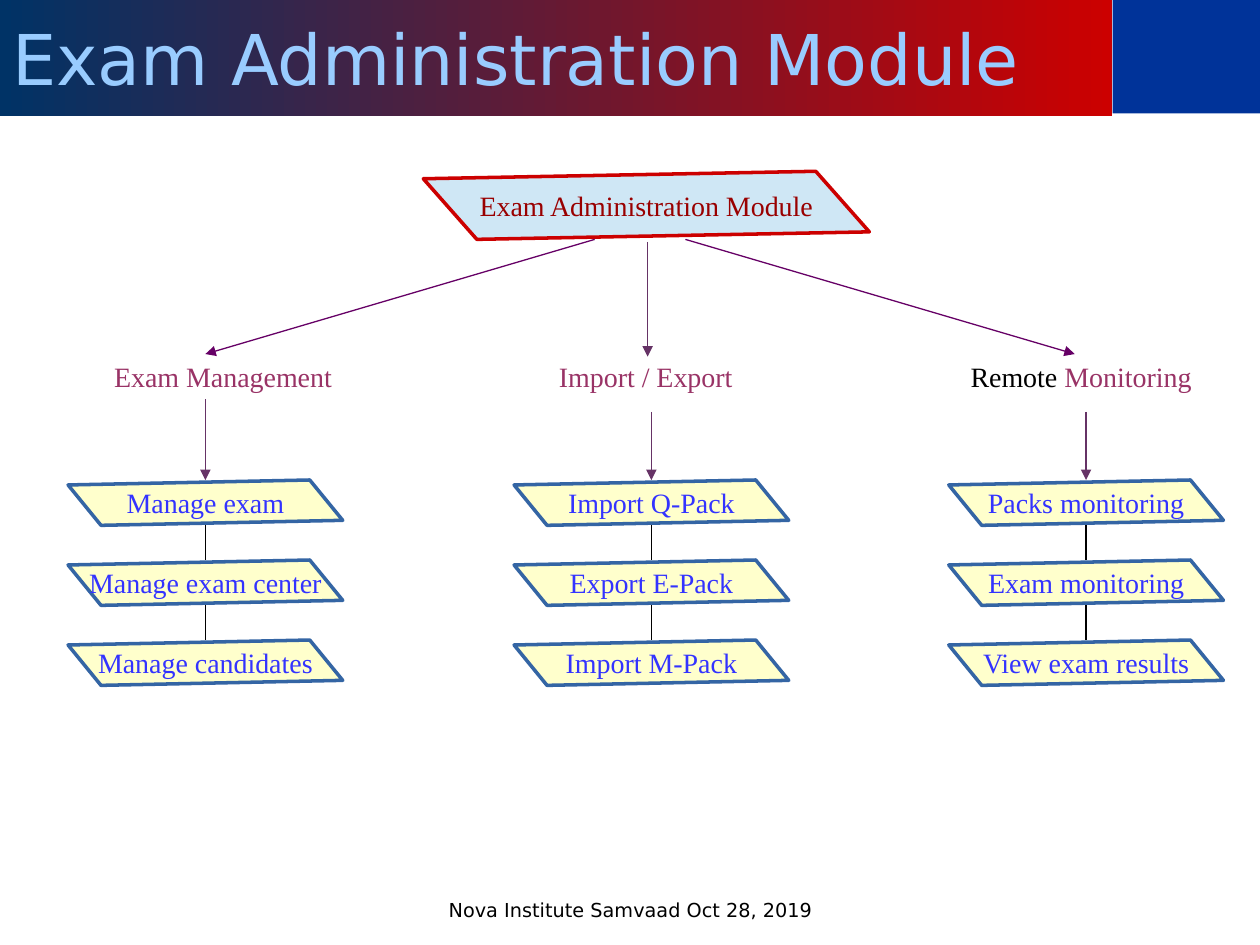
import pptx
import pptx.util
import pptx.dml.color
import pptx.enum.shapes
import pptx.enum.text
import pptx.oxml.ns
import lxml.etree

RGB = pptx.dml.color.RGBColor
NAVY = RGB(0x00, 0x33, 0x66)
BLUE = RGB(0x00, 0x33, 0x99)
RED = RGB(0xCC, 0x00, 0x00)
SKY = RGB(0x99, 0xCC, 0xFF)
PALE = RGB(0xCF, 0xE7, 0xF5)
MAROON = RGB(0x99, 0x00, 0x00)
ROSE = RGB(0x99, 0x33, 0x66)
CREAM = RGB(0xFF, 0xFF, 0xCC)
STEEL = RGB(0x34, 0x65, 0xA4)
INK = RGB(0x33, 0x33, 0xFF)
PLUM = RGB(0x66, 0x00, 0x66)
GRAPE = RGB(0x66, 0x33, 0x66)
BLACK = RGB(0x00, 0x00, 0x00)
WHITE = RGB(0xFF, 0xFF, 0xFF)

SERIF = "Times New Roman"
SANS = "DejaVu Sans"
COLS, ROWS = 100, 75
UNIT = pptx.util.Inches(10) // COLS
SLANT = [(0, 0.11), (0.88, 0), (1, 0.89), (0.12, 1)]
SQUARE = [(0, 0), (1, 0), (1, 1), (0, 1)]
MIDDLE = pptx.enum.text.MSO_ANCHOR.MIDDLE
CENTER = pptx.enum.text.PP_ALIGN.CENTER
LEFT = pptx.enum.text.PP_ALIGN.LEFT

TREE = [
    (16.3, 17.7, 31.7, [("Exam Management", ROSE)],
     ["Manage exam", "Manage exam center", "Manage candidates"]),
    (51.7, 51.25, 32.7, [("Import / Export", ROSE)],
     ["Import Q-Pack", "Export E-Pack", "Import M-Pack"]),
    (86.2, 85.8, 32.7, [("Remote ", BLACK), ("Monitoring", ROSE)],
     ["Packs monitoring", "Exam monitoring", "View exam results"]),
]
FANS = [(47.2, 19, 16.3, 28.1, PLUM),
        (51.4, 19.2, 51.4, 28.3, GRAPE),
        (54.4, 19, 85.3, 28.1, PLUM)]


def grid(*nums):
    return [round(num * UNIT) for num in nums]


def write(shape, runs, size, font, align=CENTER):
    para = shape.text_frame.paragraphs[0]
    para.alignment = align
    for text, color in runs:
        run = para.add_run()
        run.text = text
        run.font.size = pptx.util.Pt(size)
        run.font.name = font
        run.font.color.rgb = color


def node(slide, box, form, fill, edge, runs):
    left, top, wide, high = box
    spots = [grid(left + x * wide, top + y * high) for x, y in form]
    pen = slide.shapes.build_freeform(*spots[0])
    pen.add_line_segments(spots[1:], close=True)
    shape = pen.convert_to_shape()
    shape.shadow.inherit = False
    shape.fill.solid()
    shape.fill.fore_color.rgb = fill
    if edge is None:
        shape.line.fill.background()
    else:
        shape.line.color.rgb = edge
        shape.line.width = pptx.util.Pt(2)
    frame = shape.text_frame
    frame.margin_left = frame.margin_right = 0
    frame.margin_top = frame.margin_bottom = 0
    frame.word_wrap = False
    frame.vertical_anchor = MIDDLE
    write(shape, runs, 16, SERIF)


def link(slide, ends, color, arrow=False):
    kind = pptx.enum.shapes.MSO_CONNECTOR.STRAIGHT
    line = slide.shapes.add_connector(kind, *grid(*ends))
    line.line.color.rgb = color
    line.line.width = pptx.util.Pt(0.75)
    qn = pptx.oxml.ns.qn
    if arrow:
        tail = lxml.etree.SubElement(line.line._get_or_add_ln(), qn("a:tailEnd"))
        tail.set("type", "triangle")
    lxml.etree.SubElement(line._element.spPr, qn("a:effectLst"))


def block(slide, box):
    kind = pptx.enum.shapes.MSO_SHAPE.RECTANGLE
    shape = slide.shapes.add_shape(kind, *grid(*box))
    shape.shadow.inherit = False
    shape.line.fill.background()
    return shape


def header(slide, box):
    left, top, wide, high = box
    split = wide * 0.883
    side = block(slide, (left + split, top, wide - split, high - 0.2))
    side.fill.solid()
    side.fill.fore_color.rgb = BLUE
    band = block(slide, (left, top, split, high))
    band.fill.gradient()
    band.fill.gradient_angle = 0
    for stop, place, color in zip(band.fill.gradient_stops, (0, 1), (NAVY, RED)):
        stop.position = place
        stop.color.rgb = color
    band.text_frame.vertical_anchor = MIDDLE
    band.text_frame.word_wrap = True
    write(band, [("Exam Administration Module", SKY)], 40, SANS, LEFT)


def branch(slide, box, label, start, runs, items):
    left, top, wide, high = box
    mid = left + wide / 2
    tall, step = 3.6, (high - 3.6) / (len(items) - 1)
    node(slide, (label - 8.6, 27.2, 17.2, 5.4), SQUARE, WHITE, None, runs)
    for row, item in enumerate(items):
        y = top + row * step
        node(slide, (left, y, wide, tall), SLANT, CREAM, STEEL, [(item, INK)])
        if row:
            link(slide, (mid, y - step + tall, mid, y), BLACK)
    link(slide, (mid, start, mid, top), GRAPE, True)


def chart(slide, box):
    left, top, wide, high = box
    node(slide, (left + 33.6, top, 35.4, 5.4), SLANT, PALE, RED,
         [("Exam Administration Module", MAROON)])
    for mid, label, start, runs, items in TREE:
        part = (left + mid - 10.9, top + high - 16.3, 21.8, 16.3)
        branch(slide, part, label, start, runs, items)
    for *ends, color in FANS:
        link(slide, ends, color, True)


def footer(slide, box):
    shape = slide.shapes.add_textbox(*grid(*box))
    shape.text_frame.word_wrap = True
    write(shape, [("Nova Institute Samvaad Oct 28, 2019", BLACK)], 11, SANS)


def main():
    deck = pptx.Presentation()
    deck.slide_width, deck.slide_height = grid(COLS, ROWS)
    slide = deck.slides.add_slide(deck.slide_layouts[6])
    chart(slide, (0, 13.6, COLS, 40.8))
    header(slide, (0, 0, COLS, 9.2))
    footer(slide, (34.2, 70.8, 31.7, 2.7))
    deck.save("out.pptx")


if __name__ == "__main__":
    main()
